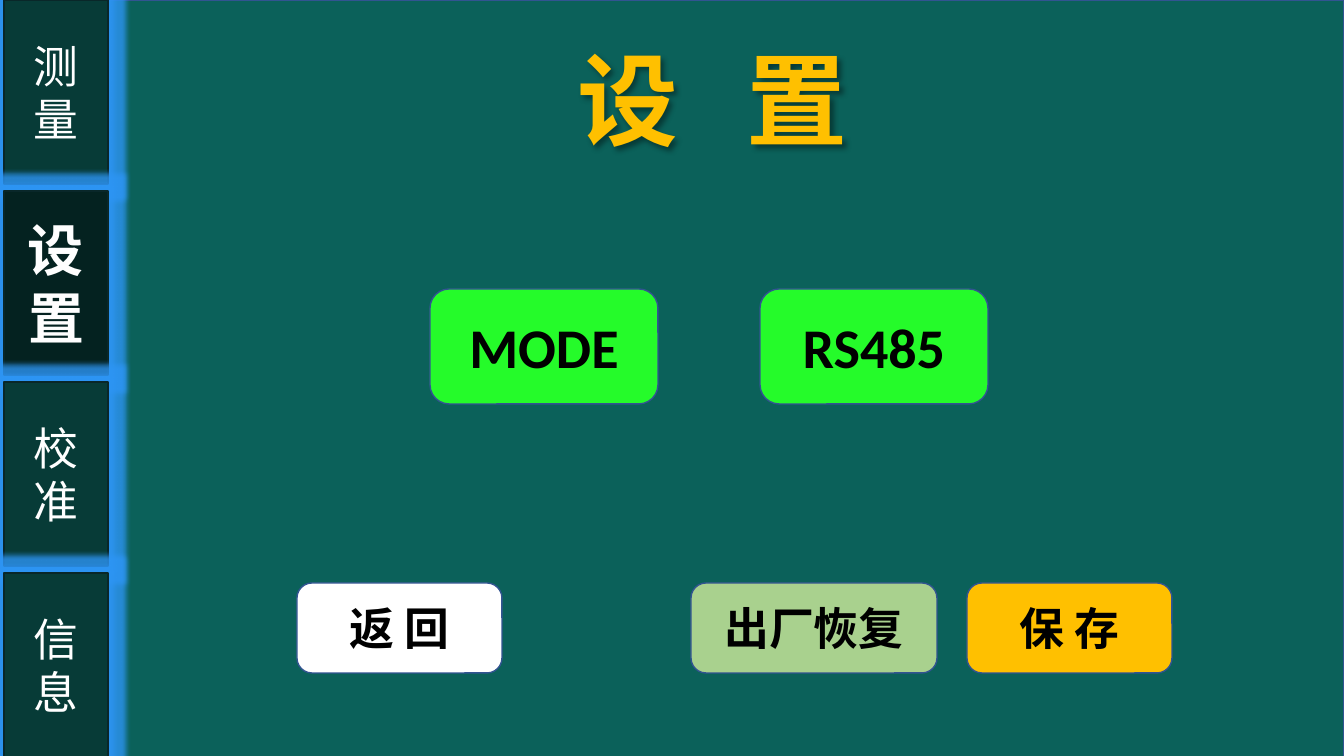
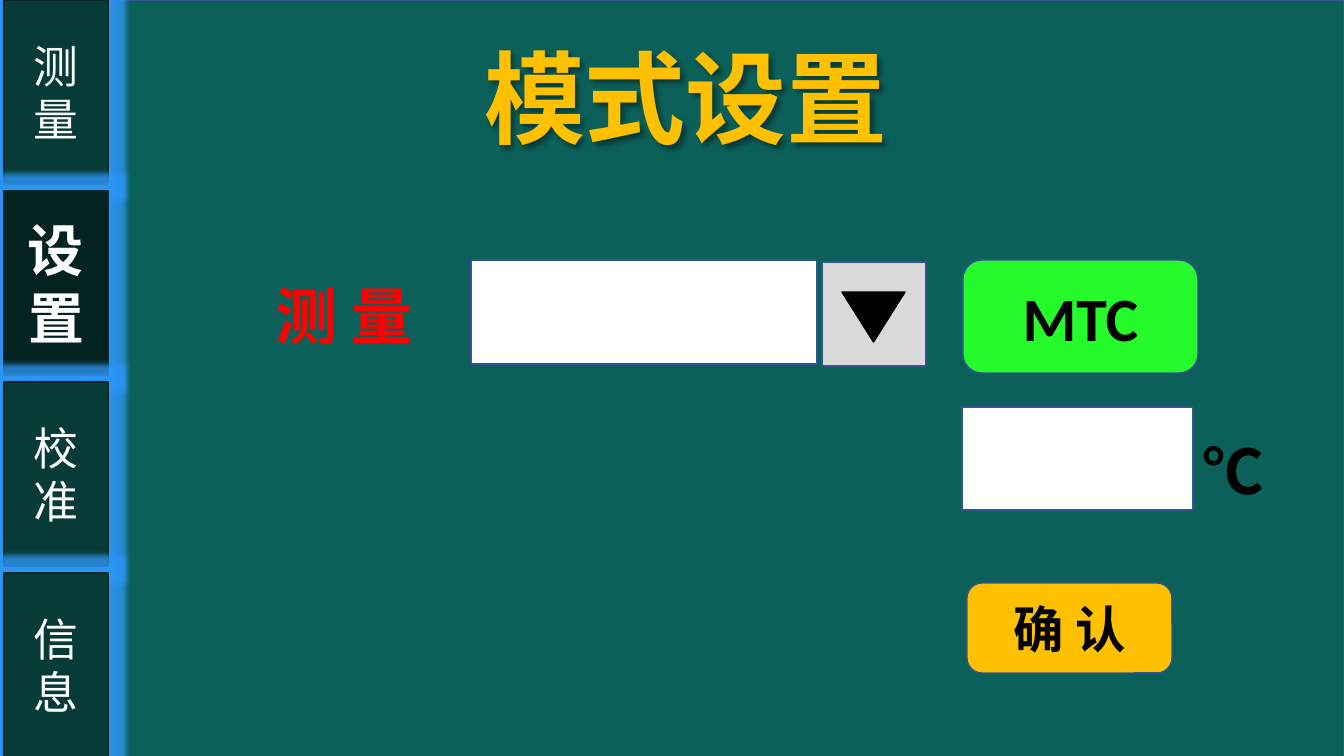
from dataclasses import dataclass

from lxml.etree import SubElement
from pptx import Presentation
from pptx.dml.color import RGBColor
from pptx.enum.shapes import MSO_SHAPE
from pptx.enum.text import MSO_ANCHOR, MSO_AUTO_SIZE, PP_ALIGN
from pptx.oxml.ns import qn
from pptx.util import Emu, Pt

WIDE, HIGH = 1344, 756
TABS = ("测\n量", "设置", "校\n准", "信\n息")


@dataclass(frozen=True)
class Theme:
    """Colours, fonts and type sizes of the panel."""
    back: str = "0B615A"
    edge: str = "325491"
    tab: str = "073B37"
    live: str = "042220"
    rim: str = "092729"
    glow: str = "2E96F5"
    trim: str = "4472C4"
    white: str = "FFFFFF"
    pale: str = "FEFEFE"
    black: str = "000000"
    gold: str = "FFC000"
    green: str = "25FB2A"
    sage: str = "A9D18E"
    grey: str = "D9D9D9"
    red: str = "FF0000"
    face: str = "Calibri"
    hans: str = "Noto Sans CJK SC"
    sign: str = "Noto Sans CJK KR"
    head: int = 72
    large: int = 44
    mid: int = 40
    step: int = 36
    small: int = 32


T = Theme()


def px(num):
    """Turn pixels into EMU."""
    return Emu(round(num * 12192000 / WIDE))


def rgb(code):
    """Read a hex colour."""
    return RGBColor.from_string(code)


def node(root, tag, **attrs):
    """Add an XML child in the drawing namespace."""
    return SubElement(root, qn("a:" + tag), attrs)


def tint(root, code, alpha=None):
    """Add a colour, with opacity if given."""
    item = node(root, "srgbClr", val=code)
    if alpha:
        node(item, "alpha", val=str(alpha * 1000))


def effect(shape, tag, code, alpha, **attrs):
    """Give a shape one glow or shadow."""
    shape.shadow.inherit = False
    group = shape.element.spPr.find(qn("a:effectLst"))
    tint(node(group, tag, **attrs), code, alpha)


def text(shape, words, size=T.mid, color=T.black, font=T.face, bold=True,
         align=PP_ALIGN.CENTER, anchor=MSO_ANCHOR.MIDDLE, wrap=True,
         space=0, trim=None):
    """Write formatted text into a shape."""
    frame = shape.text_frame
    frame.word_wrap, frame.vertical_anchor = wrap, anchor
    frame.auto_size = MSO_AUTO_SIZE.NONE
    frame.text = words
    for para in frame.paragraphs:
        para.alignment = align
        for run in para.runs:
            style = run.font
            style.size, style.bold, style.name = Pt(size), bold, font
            style.color.rgb = rgb(color)
            props = run._r.get_or_add_rPr()
            props.set("lang", "zh-CN")
            props.find(qn("a:latin")).addnext(node(props, "ea", typeface=T.face))
            if space:
                props.set("spc", str(round(space * 100)))
            if trim:
                line = node(props, "ln", w="9525")
                tint(node(line, "solidFill"), trim)
                props.insert(0, line)


def block(slide, box, fill, line=T.edge, kind=MSO_SHAPE.RECTANGLE):
    """Draw a filled shape with a thin edge."""
    shape = slide.shapes.add_shape(kind, *map(px, box))
    shape.shadow.inherit = False
    shape.fill.solid()
    shape.fill.fore_color.rgb = rgb(fill)
    shape.line.color.rgb = rgb(line)
    shape.line.width = Pt(1)
    return shape


def button(slide, box, words, fill, **form):
    """Draw a rounded button with its label."""
    text(block(slide, box, fill, kind=MSO_SHAPE.ROUNDED_RECTANGLE), words, **form)


def label(slide, box, words, **form):
    """Place loose text."""
    text(slide.shapes.add_textbox(*map(px, box)), words,
         align=PP_ALIGN.LEFT, anchor=MSO_ANCHOR.TOP, **form)


def title(slide, box, words, **form):
    """Move and style the title above the backdrop."""
    shape = slide.shapes.title
    shape.element.getparent().append(shape.element)
    shape.left, shape.top, shape.width, shape.height = map(px, box)
    text(shape, words, size=T.head, color=T.gold, anchor=MSO_ANCHOR.TOP, **form)
    effect(shape, "outerShdw", T.black, 40, blurRad="50800", dist="38100",
           dir="2700000", algn="tl", rotWithShape="0")


def panel(deck, live):
    """Add a slide with backdrop and side tabs."""
    slide = deck.slides.add_slide(deck.slide_layouts[5])
    block(slide, (0, 0, WIDE, 758), T.back)
    for row, name in enumerate(TABS):
        chosen = name == live
        tab = block(slide, (4, row * 191, 104, 184),
                    T.live if chosen else T.tab, T.rim)
        effect(tab, "glow", T.glow, 80, rad="101600")
        if chosen:
            text(tab, name, color=T.pale, space=0.5, trim=T.trim)
        else:
            text(tab, name, size=T.small, color=T.white, bold=False)
    return slide


def setup(deck):
    """Build the settings menu."""
    slide = panel(deck, "设置")
    for col, name in enumerate(("MODE", "RS485")):
        button(slide, (430 + col * 330, 289, 228, 115), name, T.green)
    for left, width, name, fill in ((297, 205, "返 回", T.white),
                                    (691, 246, "出厂恢复", T.sage),
                                    (967, 205, "保 存", T.gold)):
        button(slide, (left, 583, width, 90), name, fill, size=T.small, font=T.hans)
    title(slide, (499, 33, 427, 132), "设 置", space=16.5)


def mode(deck):
    """Build the mode form."""
    slide = panel(deck, "设置")
    title(slide, (474, 31, 505, 132), "模式设置", font=T.hans, align=PP_ALIGN.LEFT)
    button(slide, (967, 583, 205, 90), "确 认", T.gold, size=T.step, font=T.hans)
    button(slide, (963, 260, 235, 113), "MTC", T.green, size=T.large)
    for box, fill in (((471, 260, 346, 104), T.white),
                      ((822, 262, 104, 104), T.grey),
                      ((962, 407, 231, 103), T.white)):
        block(slide, box, fill)
    arrow = block(slide, (842, 292, 63, 50), T.black, T.black,
                  MSO_SHAPE.ISOSCELES_TRIANGLE)
    arrow.rotation = 180
    label(slide, (266, 273, 162, 85), "测 量", size=T.large, color=T.red,
          font="Arial", wrap=False)
    label(slide, (1193, 428, 80, 85), "℃", size=T.large, font=T.sign)


def main():
    """Build and save the deck."""
    deck = Presentation()
    deck.slide_width, deck.slide_height = px(WIDE), px(HIGH)
    setup(deck)
    mode(deck)
    deck.save("out.pptx")


if __name__ == "__main__":
    main()
